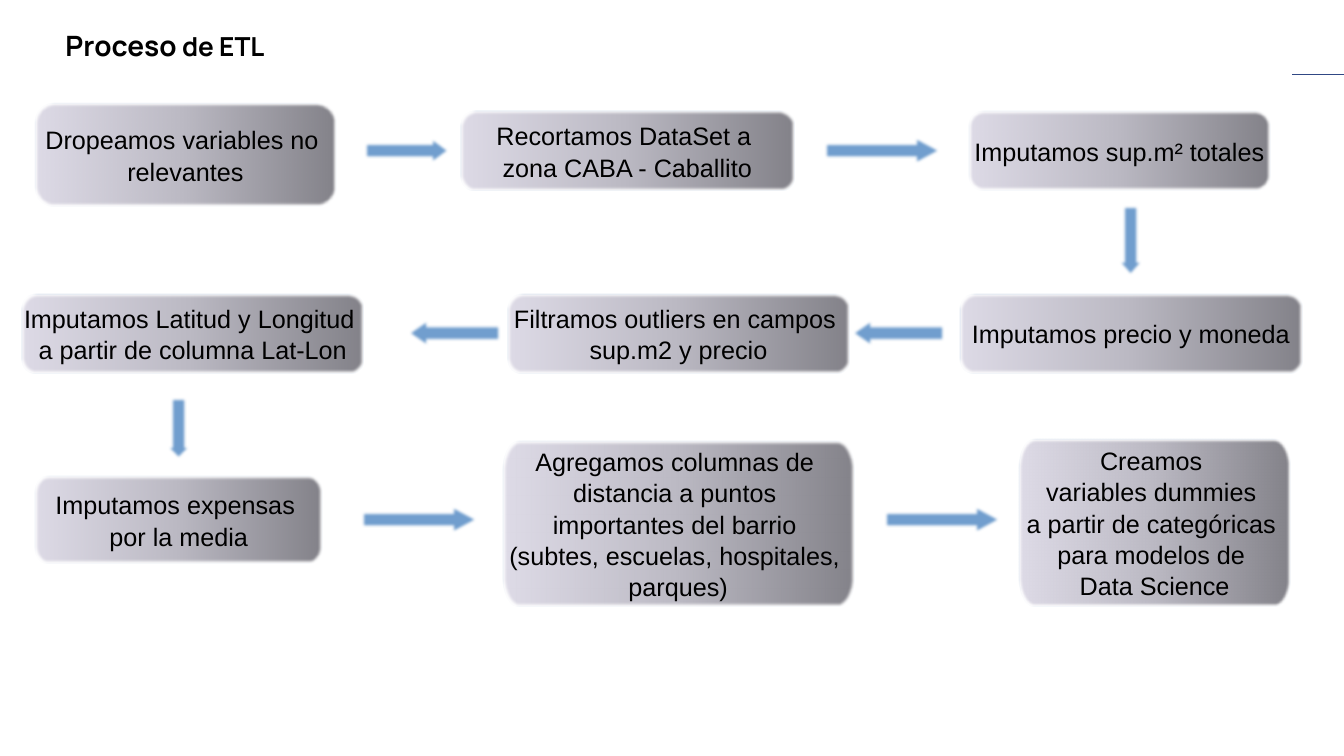
from copy import deepcopy
from dataclasses import dataclass
from math import cos, pi, sin

from lxml import etree
from pptx import Presentation, util as u
from pptx.dml.color import RGBColor
from pptx.enum import shapes, text
from pptx.oxml.ns import qn

KIND = shapes.MSO_SHAPE
THICK = 0.79
HEAD = 0.25
STEPS = 8


@dataclass
class Step:
    left: float
    top: float
    width: float
    height: float
    rx: float
    ry: float
    lines: tuple[str, ...]


@dataclass
class Arrow:
    kind: shapes.MSO_SHAPE
    left: float
    top: float
    length: float


BOXES = [
    Step(0.89, 2.6, 7.57, 2.6, 0.45, 0.45, ("Dropeamos variables no ", "relevantes")),
    Step(11.61, 2.8, 8.4, 2, 0.33, 0.33, ("Recortamos DataSet a ", "zona CABA - Caballito")),
    Step(24.41, 2.8, 7.6, 2, 0.33, 0.33, ("Imputamos sup.m² totales",)),
    Step(24.2, 7.4, 8.6, 2, 0.33, 0.33, ("Imputamos precio y moneda",)),
    Step(12.8, 7.4, 8.6, 2, 0.33, 0.33, ("Filtramos outliers en campos ", "sup.m2 y precio")),
    Step(0.56, 7.4, 8.6, 2, 0.33, 0.33,
         ("Imputamos Latitud y Longitud ", "a partir de columna Lat-Lon")),
    Step(0.89, 12, 7.23, 2.2, 0.28, 0.37, ("Imputamos expensas ", "por la media")),
    Step(12.67, 11.12, 8.84, 4.14, 0.36, 0.69,
         ("Agregamos columnas de ", "distancia a puntos ", "importantes del barrio ",
          "(subtes, escuelas, hospitales, ", "parques)")),
    Step(25.68, 11.07, 6.84, 4.19, 0.36, 0.69,
         ("Creamos ", "variables dummies ", "a partir de categóricas ",
          "para modelos de ", "Data Science")),
]
ARROWS = [
    Arrow(KIND.RIGHT_ARROW, 9.19, 3.4, 2.2),
    Arrow(KIND.RIGHT_ARROW, 20.8, 3.4, 3),
    Arrow(KIND.DOWN_ARROW, 28.1, 5.2, 1.8),
    Arrow(KIND.LEFT_ARROW, 21.4, 8, 2.4),
    Arrow(KIND.LEFT_ARROW, 10.2, 8, 2.4),
    Arrow(KIND.DOWN_ARROW, 4.1, 10.03, 1.6),
    Arrow(KIND.RIGHT_ARROW, 9.12, 12.7, 3),
    Arrow(KIND.RIGHT_ARROW, 22.3, 12.7, 3),
]


def color(code: str) -> RGBColor:
    return RGBColor.from_string(code)


def write(par, words: str, size: float, font: str, bold: bool = False) -> None:
    run = par.add_run()
    run.text = words
    run.font.size = u.Pt(size)
    run.font.name = font
    run.font.bold = bold
    run.font.color.rgb = color("000000")


def soften(shape) -> None:
    shape.line.color.rgb = color("3465A4")
    shape.line.width = u.Pt(0.75)
    shape.shadow.inherit = False
    effects = shape.element.spPr.find(qn("a:effectLst"))
    etree.SubElement(effects, qn("a:softEdge"), rad=str(u.Pt(2)))


def shade(shape) -> None:
    shape.fill.gradient()
    shape.fill.gradient_angle = 0
    stops = next(shape.element.spPr.iter(qn("a:gsLst")))
    stops.insert(1, deepcopy(stops[0]))
    tones = ("DEDBE7", "BBB9C3", "838289")
    for stop, tone, spot in zip(shape.fill.gradient_stops, tones, (0, 0.5, 1)):
        stop.color.rgb = color(tone)
        stop.position = spot


def outline(slide, box: Step):
    if box.rx == box.ry:
        shape = slide.shapes.add_shape(
            KIND.ROUNDED_RECTANGLE, u.Cm(box.left), u.Cm(box.top),
            u.Cm(box.width), u.Cm(box.height))
        shape.adjustments[0] = box.rx / min(box.width, box.height)
        return shape
    points = []
    for turn, (side, end) in enumerate(((1, 1), (0, 1), (0, 0), (1, 0))):
        mid = box.left + box.rx + side * (box.width - 2 * box.rx)
        row = box.top + box.ry + end * (box.height - 2 * box.ry)
        for part in range(STEPS + 1):
            angle = (turn + part / STEPS) * pi / 2
            points.append((u.Cm(mid + box.rx * cos(angle)), u.Cm(row + box.ry * sin(angle))))
    form = slide.shapes.build_freeform(*points[0])
    form.add_line_segments(points[1:], close=True)
    return form.convert_to_shape()


def draw_box(slide, box: Step) -> None:
    shape = outline(slide, box)
    shade(shape)
    soften(shape)
    frame = shape.text_frame
    frame.word_wrap = False
    frame.vertical_anchor = text.MSO_ANCHOR.MIDDLE
    for index, line in enumerate(box.lines):
        par = frame.add_paragraph() if index else frame.paragraphs[0]
        par.alignment = text.PP_ALIGN.CENTER
        par.line_spacing = 1.04
        write(par, line, 18, "Arial")


def draw_arrow(slide, arrow: Arrow) -> None:
    size = (arrow.length, THICK)
    if arrow.kind == KIND.DOWN_ARROW:
        size = size[::-1]
    shape = slide.shapes.add_shape(
        arrow.kind, u.Cm(arrow.left), u.Cm(arrow.top), *map(u.Cm, size))
    shape.adjustments[0] = 0.5
    shape.adjustments[1] = HEAD * arrow.length / THICK
    shape.fill.solid()
    shape.fill.fore_color.rgb = color("729FCF")
    soften(shape)


def draw_title(slide) -> None:
    title = slide.shapes.title
    title.left, title.top = u.Cm(1.65), u.Cm(0.48)
    title.width, title.height = u.Cm(22.58), u.Cm(1.32)
    frame = title.text_frame
    frame.auto_size = text.MSO_AUTO_SIZE.NONE
    frame.word_wrap = True
    frame.vertical_anchor = text.MSO_ANCHOR.MIDDLE
    frame.margin_left = frame.margin_right = frame.margin_top = frame.margin_bottom = 0
    par = frame.paragraphs[0]
    par.alignment = text.PP_ALIGN.LEFT
    write(par, "Proceso", 20, "Manrope", True)
    write(par, " de ETL", 18.7, "Manrope", True)


def draw_rule(slide, edge: int) -> None:
    rule = slide.shapes.add_connector(
        shapes.MSO_CONNECTOR.STRAIGHT, u.Cm(32.56), u.Cm(1.88), edge, u.Cm(1.88))
    rule.line.color.rgb = color("304884")
    rule.line.width = u.Pt(0.75)
    etree.SubElement(rule.element.spPr, qn("a:effectLst"))


def main() -> None:
    deck = Presentation()
    deck.slide_width, deck.slide_height = u.Cm(33.87), u.Cm(19.05)
    slide = deck.slides.add_slide(deck.slide_layouts[5])
    draw_rule(slide, deck.slide_width)
    draw_title(slide)
    for box in BOXES:
        draw_box(slide, box)
    for arrow in ARROWS:
        draw_arrow(slide, arrow)
    deck.save("out.pptx")


if __name__ == "__main__":
    main()
